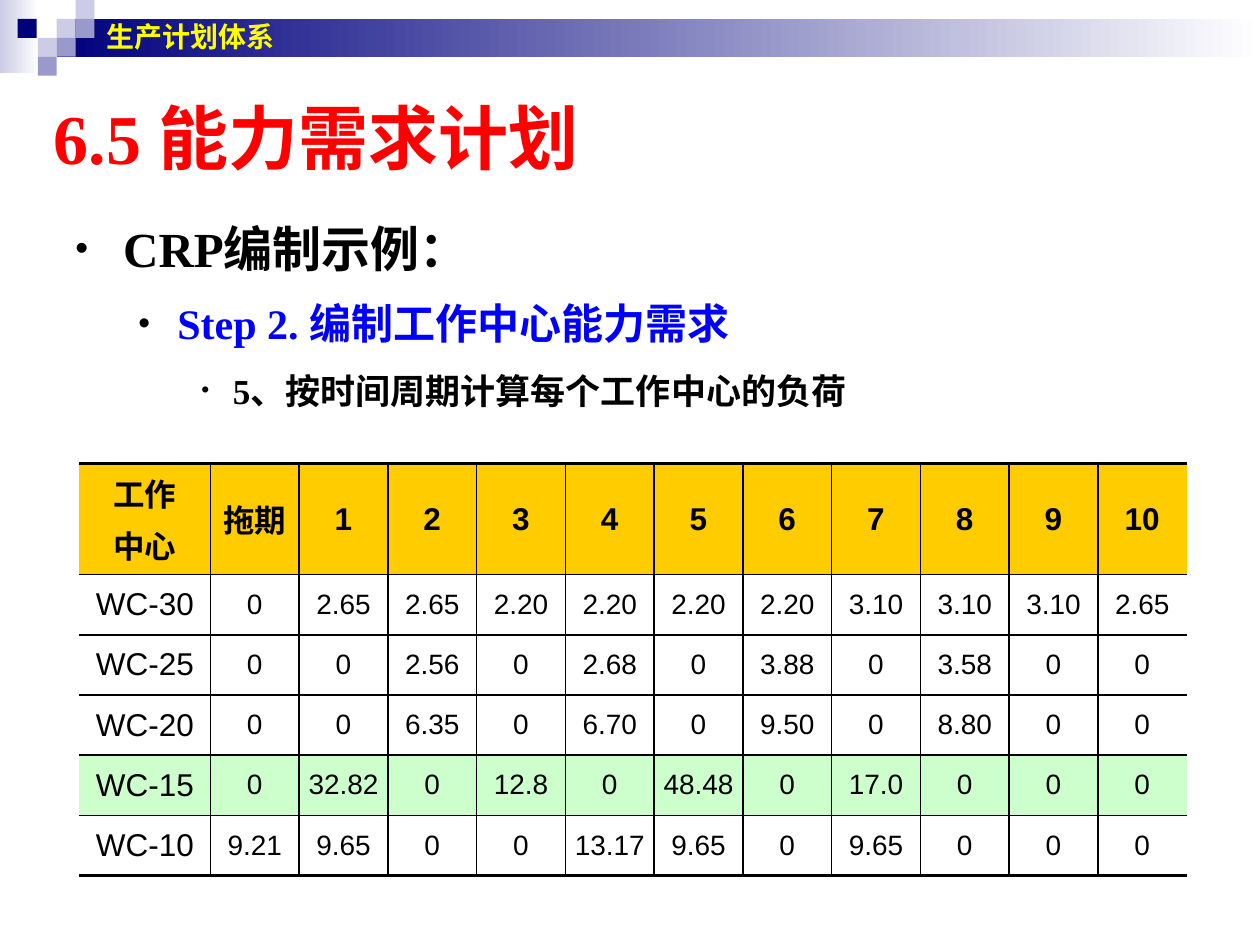
from lxml.etree import SubElement
from pptx import Presentation
from pptx.dml.color import RGBColor
from pptx.enum.shapes import MSO_SHAPE
from pptx.enum.text import MSO_ANCHOR, PP_ALIGN
from pptx.oxml import parse_xml
from pptx.oxml.ns import nsdecls, qn
from pptx.util import Inches, Pt

NAVY, LILAC, VIOLET = "00007D", "CCCCE6", "9999CC"
BLACK, WHITE, RED, BLUE, YELLOW = "000000", "FFFFFF", "FF0000", "0000FF", "FFFF00"
GOLD, MINT = "FFCC00", "CCFFCC"

BANDS = [(0, 0, 0.31, 0.58, LILAC), (0.45, 0.15, 9.55, 0.3, NAVY)]
SQUARES = [
    (0.45, 0.15, LILAC), (0.6, 0, LILAC), (0.6, 0.15, VIOLET), (0.3, 0.3, LILAC),
    (0.14, 0.15, NAVY), (0.45, 0.3, VIOLET), (0.3, 0.45, VIOLET),
]
OUTLINE = [
    ("CRP编制示例：", 28, BLACK, 0.38, 0.38, 1.4, 75),
    ("Step 2. 编制工作中心能力需求", 24, BLUE, 0.81, 0.31, 1.4, 80),
    ("5、按时间周期计算每个工作中心的负荷", 20, BLACK, 1.25, 0.25, 1.5, 65),
]
LOADS = [
    ["工作\n中心", "拖期"] + [str(n) for n in range(1, 11)],
    "WC-30 0 2.65 2.65 2.20 2.20 2.20 2.20 3.10 3.10 3.10 2.65".split(),
    "WC-25 0 0 2.56 0 2.68 0 3.88 0 3.58 0 0".split(),
    "WC-20 0 0 6.35 0 6.70 0 9.50 0 8.80 0 0".split(),
    "WC-15 0 32.82 0 12.8 0 48.48 0 17.0 0 0 0".split(),
    "WC-10 9.21 9.65 0 0 13.17 9.65 0 9.65 0 0 0".split(),
]


def rgb(value):
    """Turn a hex string into a colour."""
    return RGBColor.from_string(value)


class Deck:
    """Hold the fonts and the current slide."""

    serif = "Times New Roman"
    sans = "Arial"

    def __init__(self, slide):
        """Start drawing on a slide."""
        self.s = slide

    def run(self, p, text, size, color, font, bold=True):
        """Add a styled run to a paragraph."""
        r = p.add_run()
        r.text = text
        r.font.size = Pt(size)
        r.font.name = font
        r.font.bold = bold
        r.font.color.rgb = rgb(color)

    def rect(self, x, y, w, h, color, fade=False):
        """Add a plain rectangle, or one that fades to white."""
        sp = self.s.shapes.add_shape(
            MSO_SHAPE.RECTANGLE, Inches(x), Inches(y), Inches(w), Inches(h))
        sp.shadow.inherit = False
        sp.line.fill.background()
        if fade:
            sp.fill.gradient()
            sp.fill.gradient_angle = 0
            for stop, value in zip(sp.fill.gradient_stops, (color, WHITE)):
                stop.color.rgb = rgb(value)
        else:
            sp.fill.solid()
            sp.fill.fore_color.rgb = rgb(color)

    def box(self, x, y, w, h, anchor=MSO_ANCHOR.MIDDLE):
        """Add a wrapping text box and return its text frame."""
        tf = self.s.shapes.add_textbox(
            Inches(x), Inches(y), Inches(w), Inches(h)).text_frame
        tf.word_wrap = True
        tf.vertical_anchor = anchor
        return tf

    def label(self, x, y, w, h, text, size, color, font):
        """Add a one-line text box."""
        self.run(self.box(x, y, w, h).paragraphs[0], text, size, color, font)

    def outline(self, x, y, w, h, items):
        """Add a bulleted outline."""
        tf = self.box(x, y, w, h, MSO_ANCHOR.TOP)
        for i, (text, size, color, left, hang, spacing, scale) in enumerate(items):
            p = tf.add_paragraph() if i else tf.paragraphs[0]
            p.level = i
            p.line_spacing = spacing
            pPr = p._p.get_or_add_pPr()
            pPr.set("marL", str(Inches(left)))
            pPr.set("indent", str(-Inches(hang)))
            SubElement(SubElement(pPr, qn("a:buClr")), qn("a:srgbClr"), val=BLACK)
            SubElement(pPr, qn("a:buSzPct"), val=str(scale * 1000))
            SubElement(pPr, qn("a:buFont"), typeface=self.sans)
            SubElement(pPr, qn("a:buChar"), char="•")
            self.run(p, text, size, color, self.serif)

    def borders(self, cell, **widths):
        """Set the four cell borders, where zero means no line."""
        tcPr = cell._tc.get_or_add_tcPr()
        for i, side in enumerate("LRTB"):
            width = widths[side]
            paint = (f'<a:solidFill><a:srgbClr val="{BLACK}"/></a:solidFill>'
                     if width else "<a:noFill/>")
            tcPr.insert(i, parse_xml(
                f'<a:ln{side} {nsdecls("a")} w="{Pt(width)}">{paint}</a:ln{side}>'))

    def table(self, x, y, w, h, rows, first_width, head_height, fills):
        """Add a ruled table with a wider first column and a taller head."""
        last_row, last_col = len(rows) - 1, len(rows[0]) - 1
        t = self.s.shapes.add_table(
            last_row + 1, last_col + 1, Inches(x), Inches(y), Inches(w), Inches(h)).table
        t.first_row = t.horz_banding = False
        for j, column in enumerate(t.columns):
            column.width = Inches((w - first_width) / last_col if j else first_width)
        for i, values in enumerate(rows):
            t.rows[i].height = Inches((h - head_height) / last_row if i else head_height)
            for j, value in enumerate(values):
                cell = t.cell(i, j)
                cell.vertical_anchor = MSO_ANCHOR.MIDDLE
                cell.margin_left = cell.margin_right = Inches(0.04)
                cell.margin_top = cell.margin_bottom = Inches(0.05)
                if i in fills:
                    cell.fill.solid()
                    cell.fill.fore_color.rgb = rgb(fills[i])
                else:
                    cell.fill.background()
                self.borders(cell, L=1 if j else 0, R=1 if j < last_col else 0,
                             T=1 if i else 2.25, B=1 if i < last_row else 2.25)
                tf = cell.text_frame
                for k, line in enumerate(value.split("\n")):
                    p = tf.add_paragraph() if k else tf.paragraphs[0]
                    p.alignment = PP_ALIGN.CENTER
                    if k:
                        p.space_before = Pt(3.6)
                    self.run(p, line, 16 if i and j else 18, BLACK, self.sans, i == 0)


def main():
    """Build and save the slide."""
    prs = Presentation()
    prs.slide_width, prs.slide_height = Inches(10), Inches(7.5)
    deck = Deck(prs.slides.add_slide(prs.slide_layouts[6]))
    for x, y, w, h, color in BANDS:
        deck.rect(x, y, w, h, color, fade=True)
    for x, y, color in SQUARES:
        deck.rect(x, y, 0.15, 0.15, color)
    deck.label(0.33, 0.75, 9, 0.67, "6.5 能力需求计划", 40, RED, deck.serif)
    deck.outline(0.5, 1.5, 9.17, 2.5, OUTLINE)
    deck.label(0.75, 0, 8.83, 0.58, "生产计划体系", 16, YELLOW, deck.sans)
    deck.table(0.63, 3.68, 8.79, 3.27, LOADS, 1.04, 0.88, {0: GOLD, 4: MINT})
    prs.save("out.pptx")


if __name__ == "__main__":
    main()
